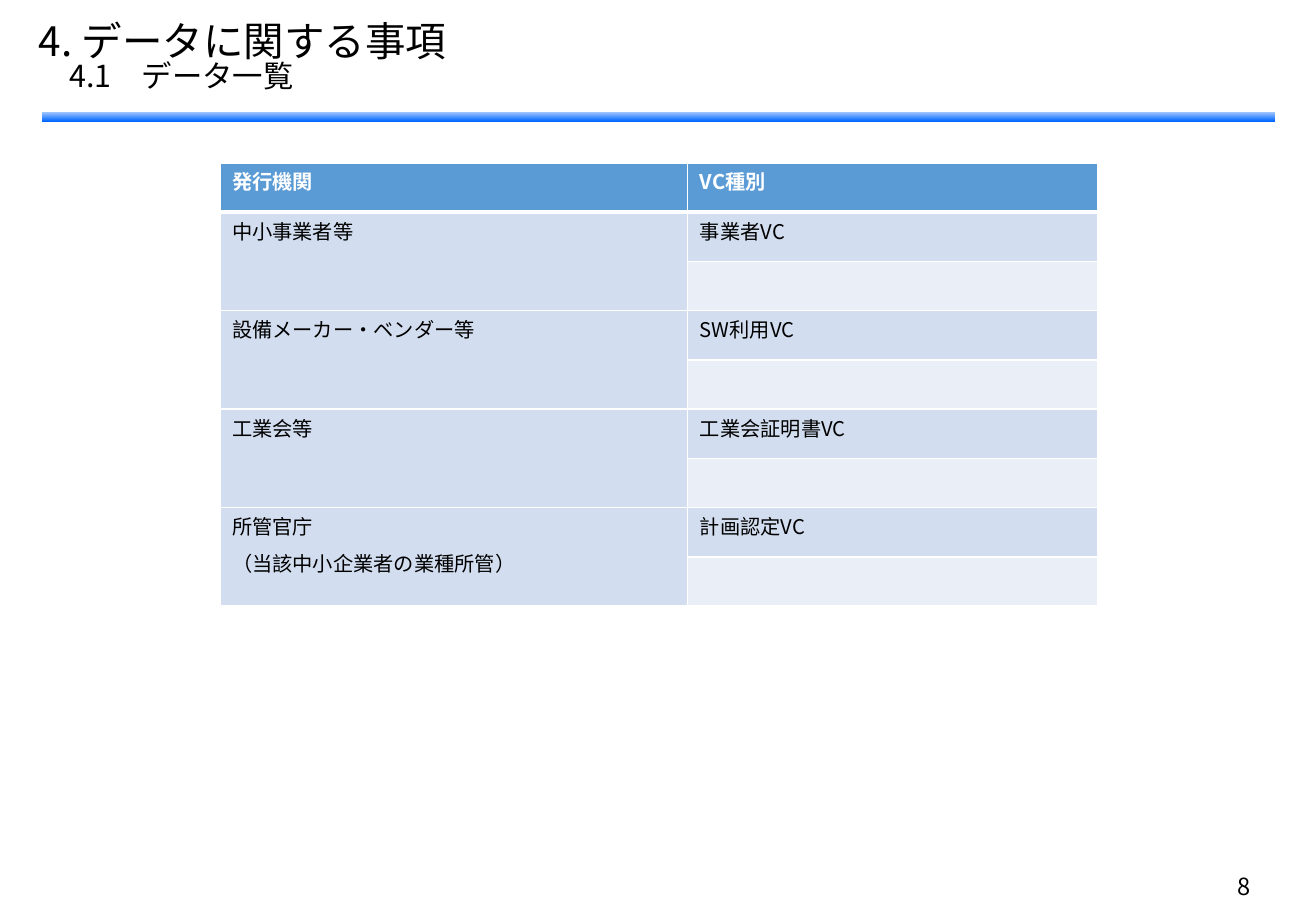
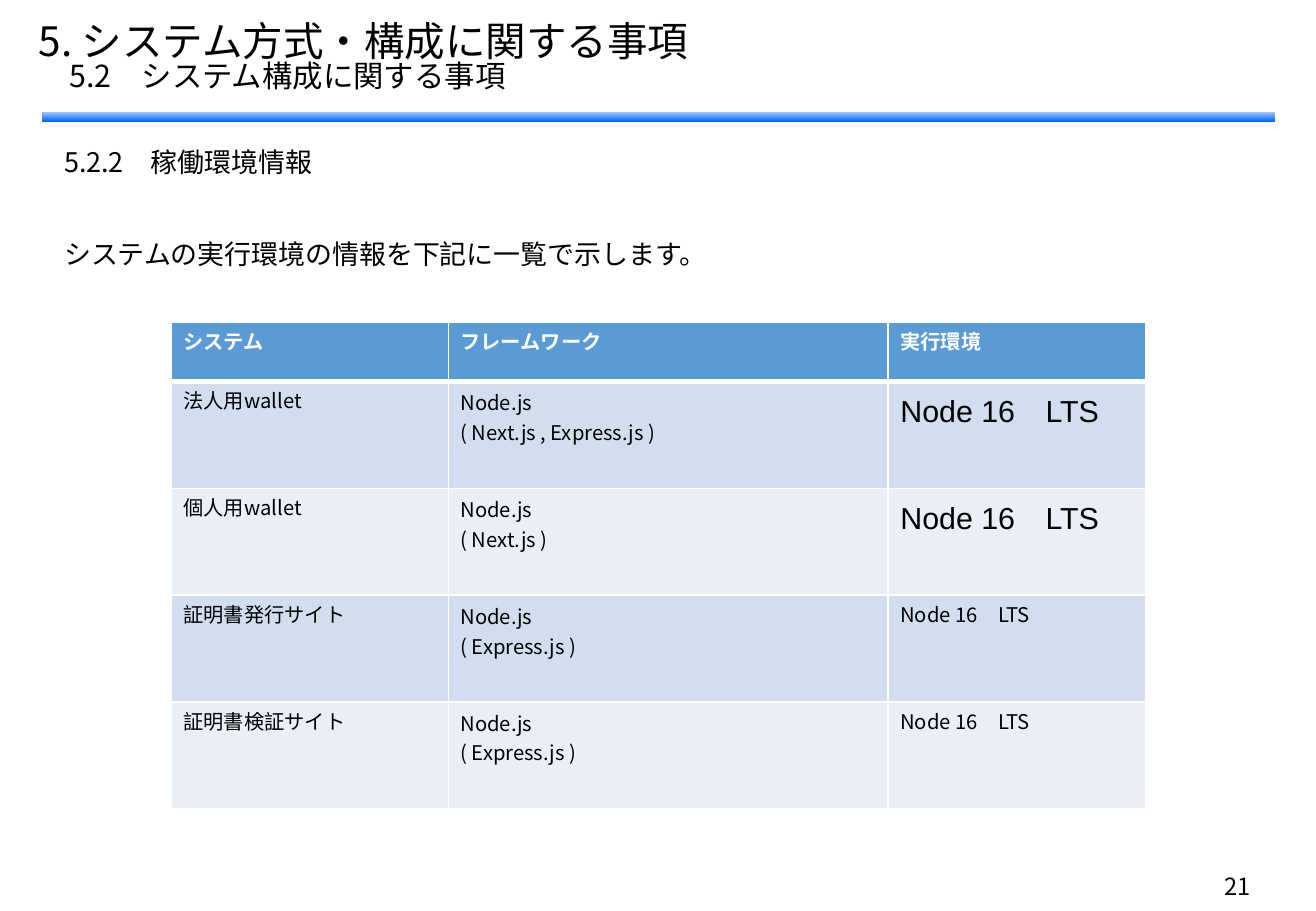
from dataclasses import dataclass

from lxml import etree
from pptx import Presentation
from pptx.dml.color import RGBColor
from pptx.enum.shapes import MSO_SHAPE
from pptx.enum.text import MSO_ANCHOR, MSO_AUTO_SIZE, PP_ALIGN
from pptx.oxml.ns import qn
from pptx.util import Inches, Pt

RECTANGLE = MSO_SHAPE.RECTANGLE
MIDDLE, BOTTOM = MSO_ANCHOR.MIDDLE, MSO_ANCHOR.BOTTOM
NO_AUTOFIT = MSO_AUTO_SIZE.NONE
LEFT, RIGHT = PP_ALIGN.LEFT, PP_ALIGN.RIGHT
TITLE_ONLY = 5


@dataclass(frozen=True)
class Theme:
    font: str = "Noto Sans CJK JP"
    alt_font: str = "Arial"
    text: str = "000000"
    white: str = "FFFFFF"
    header: str = "5B9BD5"
    bands: tuple = ("D2DEEF", "EAEFF7")
    bar: tuple = ("A9CBFF", "0066FF")
    title_size: int = 24
    subtitle_size: int = 18
    body_size: int = 16
    page_size: int = 14
    table_size: int = 12
    large_size: int = 18
    thin: int = 1
    thick: int = 3


THEME = Theme()


@dataclass(frozen=True)
class CellText:
    """Table text that departs from the usual size, font or spacing."""
    text: str
    size: int = THEME.table_size
    font: str = THEME.font
    spaced: bool = False


# Text

def add_run(paragraph, text, size, color=THEME.text, font=THEME.font, bold=False):
    run = paragraph.add_run()
    run.text = text
    run.font.size = Pt(size)
    run.font.bold = bold
    run.font.color.rgb = RGBColor.from_string(color)
    run.font.name = font
    east_asian = etree.SubElement(run.font._rPr, qn("a:ea"))
    east_asian.set("typeface", THEME.font)


def paragraphs(frame, count):
    """Return the frame's first paragraph and as many more as needed."""
    return [frame.paragraphs[0]] + [frame.add_paragraph() for _ in range(count - 1)]


def set_table_spacing(paragraph):
    paragraph.line_spacing = 0.9
    before = paragraph._p.get_or_add_pPr().get_or_add_spcBef()
    etree.SubElement(before, qn("a:spcPct")).set("val", "50000")


def add_text_box(slide, left, top, width, height):
    box = slide.shapes.add_textbox(Inches(left), Inches(top), Inches(width), Inches(height))
    box.text_frame.word_wrap = True
    return box.text_frame


# Shared slide parts

def add_title_bar(slide):
    """Draw the gradient bar and hand it to the layout, so every slide shows it."""
    bar = slide.shapes.add_shape(RECTANGLE, Inches(0.35), Inches(0.92),
                                 Inches(10.14), Inches(0.08))
    bar.shadow.inherit = False
    bar.line.fill.background()
    bar.fill.gradient()
    bar.fill.gradient_angle = 270
    for stop, color in zip(bar.fill.gradient_stops, THEME.bar):
        stop.color.rgb = RGBColor.from_string(color)
    bar._element.nvSpPr.cNvPr.set("id", "100")
    slide.slide_layout.shapes._spTree.append(bar._element)


def add_section_slide(prs, chapter, section, page):
    slide = prs.slides.add_slide(prs.slide_layouts[TITLE_ONLY])
    title = slide.shapes.title
    title.left, title.top = Inches(0.22), Inches(0.14)
    title.width, title.height = Inches(9.69), Inches(0.7)
    frame = title.text_frame
    frame.auto_size = NO_AUTOFIT
    frame.vertical_anchor = MIDDLE
    headings = ((chapter, THEME.title_size), (section, THEME.subtitle_size))
    for paragraph, (text, size) in zip(paragraphs(frame, 2), headings):
        paragraph.alignment = LEFT
        paragraph.line_spacing = 0.8
        add_run(paragraph, text, size)

    page_frame = add_text_box(slide, 7.86, 7.06, 2.53, 0.4)
    page_frame.vertical_anchor = BOTTOM
    number = page_frame.paragraphs[0]
    number.alignment = RIGHT
    number.line_spacing = 0.8
    add_run(number, page, THEME.page_size)
    return slide


def add_introduction(slide, heading, sentence):
    frame = add_text_box(slide, 0.43, 1.15, 10.1, 1.17)
    first, second = paragraphs(frame, 2)
    second.space_before = Pt(35.2)
    for paragraph, text in ((first, heading), (second, sentence)):
        paragraph.line_spacing = Pt(19.2)
        add_run(paragraph, text, THEME.body_size)


# Tables

def set_borders(cell, top, bottom):
    properties = cell._tc.get_or_add_tcPr()
    widths = (("L", THEME.thin), ("R", THEME.thin), ("T", top), ("B", bottom))
    for side, width in widths:
        line = etree.SubElement(properties, qn(f"a:ln{side}"))
        line.set("w", str(Pt(width)))
        fill = etree.SubElement(line, qn("a:solidFill"))
        etree.SubElement(fill, qn("a:srgbClr")).set("val", THEME.white)


def fill_cell(cell, content, row):
    is_header = row == 0
    set_borders(cell, THEME.thick if row == 1 else THEME.thin,
                THEME.thick if is_header else THEME.thin)
    cell.fill.solid()
    cell.fill.fore_color.rgb = RGBColor.from_string(
        THEME.header if is_header else THEME.bands[(row - 1) % 2])

    if not content:
        # Keeps an empty cell from growing to the default text size
        end = cell.text_frame.paragraphs[0]._p.get_or_add_endParaRPr()
        end.set("sz", str(THEME.table_size * 100))
        return
    if isinstance(content, str):
        content = CellText(content, spaced=True)
    lines = content.text.split("\n")
    for paragraph, line in zip(paragraphs(cell.text_frame, len(lines)), lines):
        if content.spaced:
            set_table_spacing(paragraph)
        add_run(paragraph, line, content.size, THEME.white if is_header else THEME.text,
                content.font, is_header)


def add_banded_table(slide, left, top, widths, heights, rows):
    frame = slide.shapes.add_table(len(rows), len(widths), Inches(left), Inches(top),
                                   Inches(sum(widths)), Inches(sum(heights)))
    table = frame.table
    for column, width in zip(table.columns, widths):
        column.width = Inches(width)
    for index, (height, contents) in enumerate(zip(heights, rows)):
        table.rows[index].height = Inches(height)
        for column, content in enumerate(contents):
            fill_cell(table.cell(index, column), content, index)
    return table


# Slides

def build_data_list(prs):
    slide = add_section_slide(prs, "4. データに関する事項", "\u30004.1\u3000データ一覧", "8")
    add_title_bar(slide)
    credentials = [
        ("中小事業者等", "事業者VC"),
        ("設備メーカー・ベンダー等", "SW利用VC"),
        ("工業会等", "工業会証明書VC"),
        ("所管官庁\n（当該中小企業者の業種所管）", "計画認定VC"),
    ]
    rows = [("発行機関", "VC種別")]
    for credential in credentials:
        rows += [credential, ("", "")]
    table = add_banded_table(slide, 1.81, 1.34, (3.85, 3.37),
                             [3.65 / len(rows)] * len(rows), rows)
    for row in range(1, len(rows), 2):
        table.cell(row, 0).merge(table.cell(row + 1, 0))


def build_environment(prs):
    slide = add_section_slide(prs, "5. システム方式・構成に関する事項",
                              "\u30005.2\u3000システム構成に関する事項", "21")
    add_introduction(slide, "5.2.2\u3000稼働環境情報",
                     "システムの実行環境の情報を下記に一覧で示します。")
    runtime = "Node 16\u3000LTS"
    large_runtime = CellText(runtime, THEME.large_size, THEME.alt_font)
    systems = [
        ("法人用wallet", "Next.js , Express.js", large_runtime),
        ("個人用wallet", "Next.js", large_runtime),
        ("証明書発行サイト", "Express.js", runtime),
        ("証明書検証サイト", "Express.js", runtime),
    ]
    rows = [("システム", "フレームワーク", "実行環境")]
    rows += [(system, CellText(f"Node.js\n( {libraries} )"), environment)
             for system, libraries, environment in systems]
    add_banded_table(slide, 1.41, 2.65, (2.28, 3.62, 2.12),
                     [0.49] + [0.88] * len(systems), rows)


def main():
    prs = Presentation()
    prs.slide_width, prs.slide_height = Inches(10.83), Inches(7.5)
    build_data_list(prs)
    build_environment(prs)
    prs.save("out.pptx")


main()
